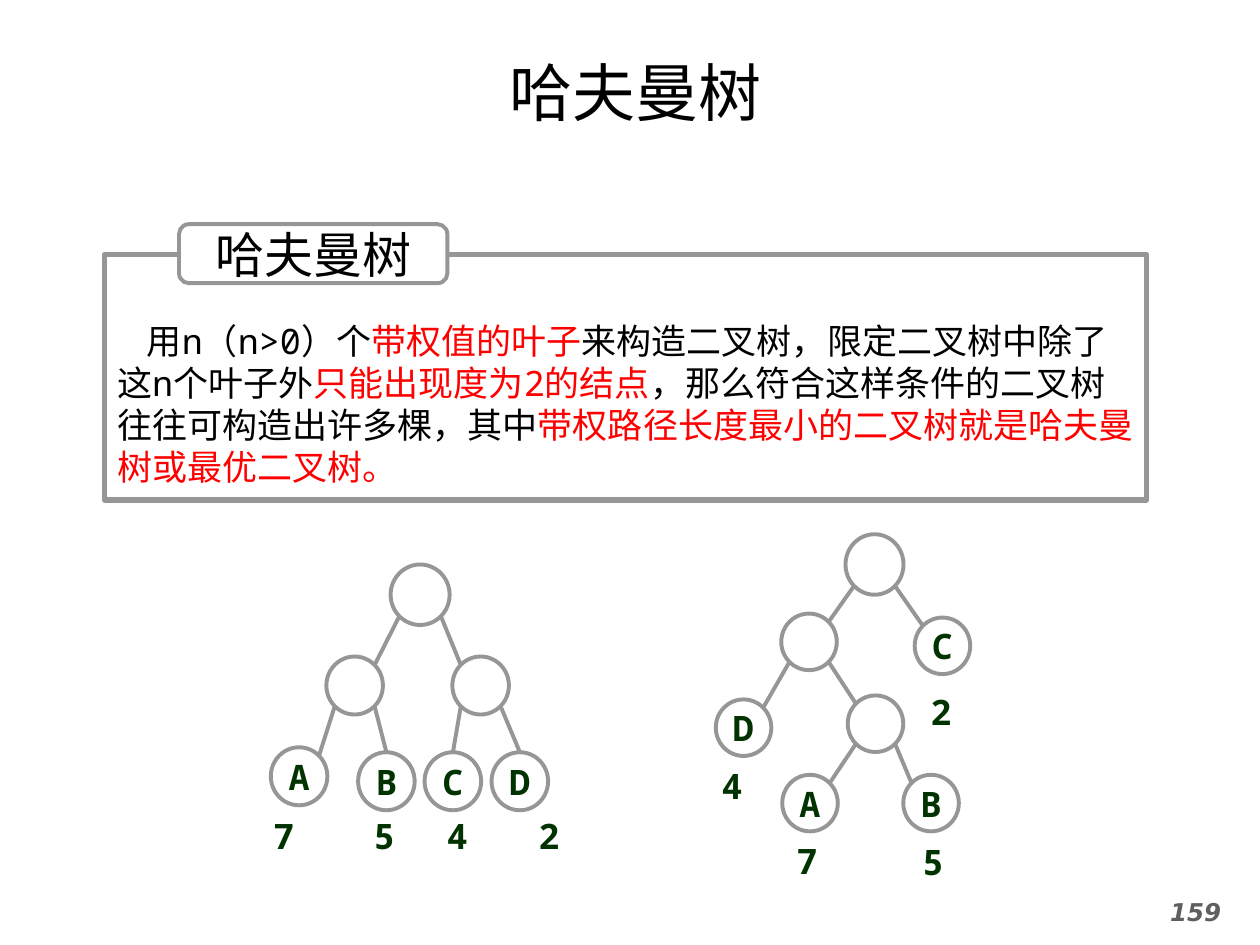
from lxml import etree
from pptx import Presentation
from pptx.dml.color import RGBColor
from pptx.enum import shapes, text
from pptx.oxml import ns
from pptx.util import Cm, Pt

BLACK = RGBColor(0x00, 0x00, 0x00)
WHITE = RGBColor(0xFF, 0xFF, 0xFF)
GRAY = RGBColor(0x96, 0x96, 0x96)
DARK = RGBColor(0x5F, 0x5F, 0x5F)
RED = RGBColor(0xFF, 0x00, 0x00)
GREEN = RGBColor(0x00, 0x33, 0x00)
MONO = "Noto Sans Mono"


def write(frame, words, size, color, bold=False, name=MONO, wrap=False):
    """Put one centred line in a text frame."""
    frame.text = words
    frame.word_wrap = wrap
    frame.vertical_anchor = text.MSO_ANCHOR.MIDDLE
    para = frame.paragraphs[0]
    para.alignment = text.PP_ALIGN.CENTER
    font = para.runs[0].font
    font.size, font.name, font.bold = Pt(size), name, bold
    font.color.rgb = color
    return font


def outline(host, kind, x, y, w, h, width=2.25):
    """Add an unfilled shape with a gray line."""
    shape = host.add_shape(kind, Cm(x), Cm(y), Cm(w), Cm(h))
    shape.shadow.inherit = False
    shape.fill.background()
    shape.line.color.rgb = GRAY
    shape.line.width = Pt(width)
    return shape


deck = Presentation()
deck.slide_width, deck.slide_height = Cm(25.4), Cm(19.05)
slide = deck.slides.add_slide(deck.slide_layouts[5])

# Title
title = slide.shapes.title
title.left, title.top, title.width, title.height = Cm(0.69), Cm(0.94), Cm(24.23), Cm(1.8)
write(title.text_frame, "哈夫曼树", 36, BLACK, wrap=True)

# Page number
page = slide.shapes.add_textbox(Cm(22.81), Cm(17.96), Cm(2.59), Cm(1.09))
write(page.text_frame, "159", 14, DARK, True, "DejaVu Sans", True).italic = True
page.text_frame.vertical_anchor = text.MSO_ANCHOR.TOP

# Trees: root size, node size, nodes (name: centre x, y),
# edges (parent, child, side of parent, side of child), weights (x, y)
trees = [
    ((1.19, 1.22), (1.14, 1.17),
     {"root": (8.47, 11.99), "left": (7.15, 13.82), "right": (9.69, 13.82),
      "A": (6.03, 15.65), "B": (7.79, 15.75), "C": (9.13, 15.75), "D": (10.48, 15.75)},
     [("root", "left", -1, 1), ("root", "right", 1, -1), ("left", "A", -1, 1),
      ("left", "B", 1, 0), ("right", "C", -1, 0), ("right", "D", 1, 0)],
     {"7": (5.72, 16.85), "5": (7.75, 16.85), "4": (9.22, 16.85), "2": (11.07, 16.85)}),
    ((1.17, 1.22), (1.12, 1.14),
     {"root": (17.63, 11.38), "left": (16.31, 12.94), "inner": (17.65, 14.59),
      "A": (16.33, 16.19), "B": (18.77, 16.19), "C": (19.0, 13.02), "D": (14.99, 14.67)},
     [("root", "left", -1, 1), ("root", "C", 1, -1), ("left", "D", -1, 1),
      ("left", "inner", 1, -1), ("inner", "A", -1, 1), ("inner", "B", 1, -1)],
     {"7": (16.27, 17.34), "5": (18.81, 17.36), "4": (14.76, 15.84), "2": (18.97, 14.34)}),
]
DIAG = 0.35  # half of the sine of 45 degrees

for big, small, nodes, edges, weights in trees:
    group = slide.shapes.add_group_shape().shapes
    for name, (x, y) in nodes.items():
        w, h = big if name == "root" else small
        node = outline(group, shapes.MSO_SHAPE.OVAL, x - w / 2, y - h / 2, w, h)
        if len(name) == 1:
            write(node.text_frame, name, 20, GREEN, True)

    # Edges leave and meet the circles on the diagonal, or at the top
    for parent, child, out, side in edges:
        px, py = nodes[parent]
        cx, cy = nodes[child]
        w, h = big if parent == "root" else small
        rise = DIAG if side else 0.5
        edge = group.add_connector(
            shapes.MSO_CONNECTOR.STRAIGHT,
            Cm(px + out * DIAG * w), Cm(py + DIAG * h),
            Cm(cx + side * DIAG * small[0]), Cm(cy - rise * small[1]))
        edge.line.color.rgb = GRAY
        edge.line.width = Pt(2.25)
        etree.SubElement(edge.element.spPr, ns.qn("a:effectLst"))

    for value, (x, y) in weights.items():
        label = group.add_textbox(Cm(x - 0.46), Cm(y - 0.55), Cm(0.92), Cm(1.1))
        write(label.text_frame, value, 20, GREEN, True)

# Definition
box = outline(slide.shapes, shapes.MSO_SHAPE.RECTANGLE, 2.11, 5.13, 21.01, 4.95, 3)
frame = box.text_frame
frame.word_wrap = True
frame.vertical_anchor = text.MSO_ANCHOR.TOP
frame.margin_top = Cm(1.32)
para = frame.paragraphs[0]
para.alignment = text.PP_ALIGN.LEFT
para._p.get_or_add_pPr().set("indent", str(Cm(0.6)))
parts = [
    ("用n（n>0）个", BLACK),
    ("带权值的叶子", RED),
    ("来构造二叉树，限定二叉树中除了这n个叶子外", BLACK),
    ("只能出现度为2的结点", RED),
    ("，那么符合这样条件的二叉树往往可构造出许多棵，其中", BLACK),
    ("带权路径长度最小的二叉树就是哈夫曼树或最优二叉树。", RED),
]
for words, color in parts:
    run = para.add_run()
    run.text = words
    run.font.size, run.font.name = Pt(20), MONO
    run.font.color.rgb = color

# Heading on the frame
head = outline(slide.shapes, shapes.MSO_SHAPE.ROUNDED_RECTANGLE, 3.61, 4.52, 5.41, 1.19)
head.fill.solid()
head.fill.fore_color.rgb = WHITE
write(head.text_frame, "哈夫曼树", 28, BLACK)

deck.save("out.pptx")
